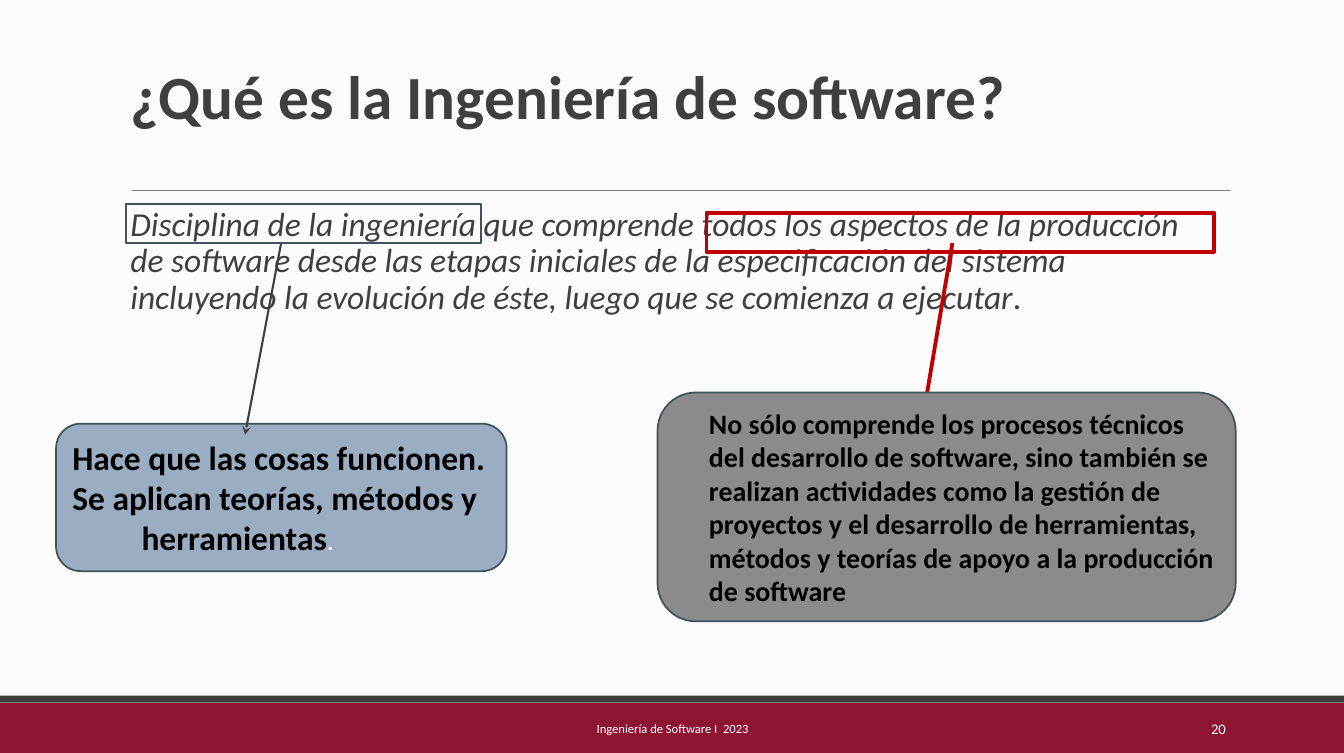
from pptx import Presentation
from pptx.dml.color import RGBColor
from pptx.enum.shapes import MSO_CONNECTOR as Connector, MSO_SHAPE as Shape
from pptx.enum.text import MSO_ANCHOR as Anchor, PP_ALIGN as Align
from pptx.oxml.ns import qn
from pptx.util import Cm, Pt
from lxml.etree import SubElement

DARK, TEAL, RED, WHITE, BLACK = "3F3F3F", "3D5459", "C00000", "FFFFFF", "000000"
WIDTH, HEIGHT = 34.01, 19.05


def paint(color_format, color):
    color_format.rgb = RGBColor.from_string(color)


def set_font(font, size, color, bold=False, italic=False):
    font.name = "Calibri"
    font.size = Pt(size)
    font.bold = bold
    font.italic = italic
    paint(font.color, color)


def add_box(slide, kind, box, fill=None, line=None, line_width=1.25):
    shape = slide.shapes.add_shape(kind, *map(Cm, box))
    shape.shadow.inherit = False
    if fill:
        shape.fill.solid()
        paint(shape.fill.fore_color, fill)
    else:
        shape.fill.background()
    if line:
        paint(shape.line.color, line)
        shape.line.width = Pt(line_width)
    else:
        shape.line.fill.background()
    return shape


def add_line(slide, start, end, color, width, arrow=False):
    line = slide.shapes.add_connector(Connector.STRAIGHT, *map(Cm, start + end))
    paint(line.line.color, color)
    line.line.width = Pt(width)
    if arrow:
        SubElement(line.line._get_or_add_ln(), qn("a:tailEnd"), type="stealth")
    SubElement(line._element.spPr, qn("a:effectLst"))


def set_frame(frame, anchor, left, top, right, bottom):
    frame.word_wrap = True
    frame.vertical_anchor = anchor
    frame.margin_left, frame.margin_top = Cm(left), Cm(top)
    frame.margin_right, frame.margin_bottom = Cm(right), Cm(bottom)


def add_text(slide, box, text, size, color, anchor=Anchor.MIDDLE, align=Align.LEFT,
             spacing=1.0, bold=False):
    frame = slide.shapes.add_textbox(*map(Cm, box)).text_frame
    set_frame(frame, anchor, 0.25, 0.13, 0.25, 0.13)
    paragraph = frame.paragraphs[0]
    paragraph.text = text
    paragraph.alignment = align
    paragraph.line_spacing = spacing
    set_font(paragraph.font, size, color, bold)
    return paragraph


def add_callout(slide, box, fill, texts, size, margin, indent, right=0):
    shape = add_box(slide, Shape.ROUNDED_RECTANGLE, box, fill, TEAL)
    frame = shape.text_frame
    set_frame(frame, Anchor.MIDDLE, 0, 0, right, 0)
    for index, text in enumerate(texts):
        paragraph = frame.add_paragraph() if index else frame.paragraphs[0]
        paragraph.text = text
        paragraph.alignment = Align.LEFT
        properties = paragraph._p.get_or_add_pPr()
        properties.set("marL", str(Cm(margin)))
        properties.set("indent", str(Cm(indent)))
        set_font(paragraph.font, size, BLACK, bold=True)
    return frame


def add_definition(slide):
    paragraph = add_text(
        slide, (3.05, 5.13, 28.04, 11.18),
        "Disciplina de la ingeniería que comprende todos los aspectos de la producción de "
        "software desde las etapas iniciales de la especificación del sistema incluyendo la "
        "evolución de éste, luego que se comienza a ejecutar",
        24, DARK, Anchor.TOP, spacing=0.9)
    paragraph.runs[0].font.italic = True
    paragraph.add_run().text = "."


def add_callouts(slide):
    add_box(slide, Shape.RECTANGLE, (17.88, 5.38, 12.85, 0.99), line=RED, line_width=2.75)
    add_line(slide, (24.1, 6.15), (23.44, 10.06), RED, 2.75)
    discipline = add_callout(
        slide, (1.42, 10.72, 11.4, 3.73), "9AADC3",
        ["Hace que las cosas funcionen.", "Se aplican teorías, métodos y herramientas"],
        24, 1.98, -1.75)
    period = discipline.paragraphs[-1].add_run()
    period.text = "."
    set_font(period.font, 20, WHITE)
    add_line(slide, (7.11, 6.17), (6.2, 11), DARK, 1.5, arrow=True)
    add_box(slide, Shape.RECTANGLE, (3.18, 5.16, 8.99, 0.99), line=TEAL, line_width=1.5)
    add_callout(
        slide, (16.64, 9.93, 14.63, 5.79), "8B8B8B",
        ["No sólo comprende los procesos técnicos del desarrollo de software, sino también se "
         "realizan actividades como la gestión de proyectos y el desarrollo de herramientas, "
         "métodos y teorías de apoyo a la producción de software"],
        20, 1.02, 0, right=0.1)


def main():
    presentation = Presentation()
    presentation.slide_width, presentation.slide_height = Cm(WIDTH), Cm(HEIGHT)
    slide = presentation.slides.add_slide(presentation.slide_layouts[6])
    slide.background.fill.solid()
    paint(slide.background.fill.fore_color, "FBFBFB")

    add_box(slide, Shape.RECTANGLE, (0, 17.78, WIDTH, 1.27), "8D1532")
    add_box(slide, Shape.RECTANGLE, (0, 17.6, WIDTH, 0.18), DARK)
    add_line(slide, (3.33, 4.83), (31.12, 4.83), "7F7F7F", 0.75)
    add_text(slide, (3.05, 0.79, 28.04, 2.69), "¿Qué es la Ingeniería de software?",
             44, DARK, Anchor.BOTTOM, spacing=0.85, bold=True)
    add_definition(slide)
    add_callouts(slide)
    add_text(slide, (27.61, 17.93, 3.66, 1.02), "20", 10.5, WHITE, align=Align.RIGHT)
    add_text(slide, (10.29, 17.93, 13.46, 1.02), "Ingeniería de Software I  2023",
             9, WHITE, align=Align.CENTER)
    presentation.save("out.pptx")


if __name__ == "__main__":
    main()
